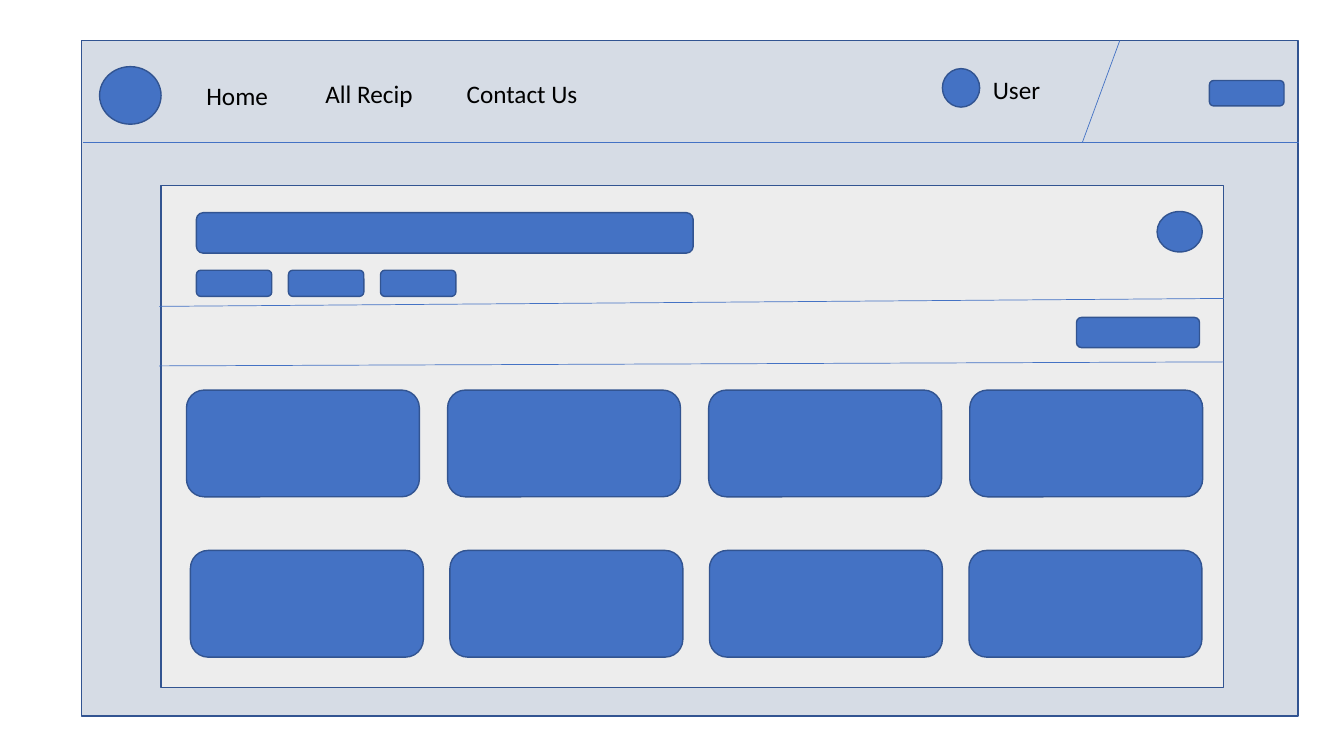
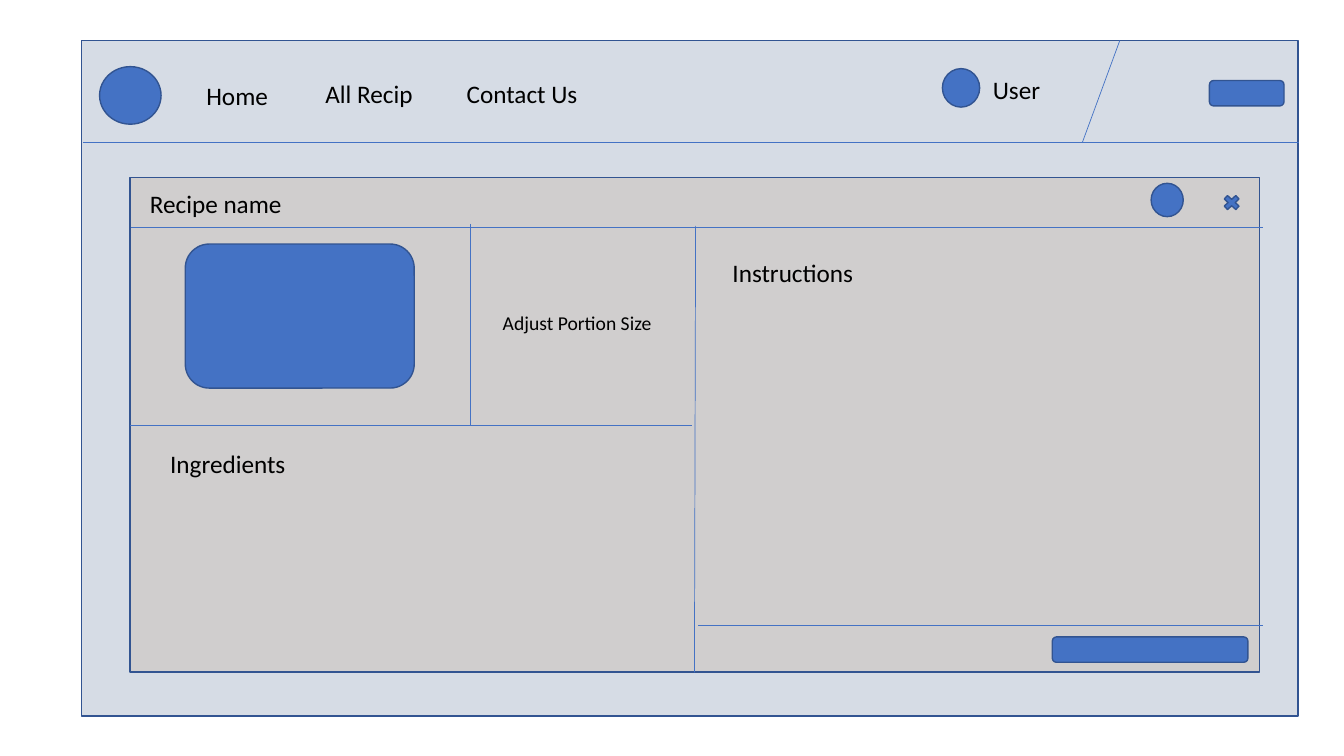
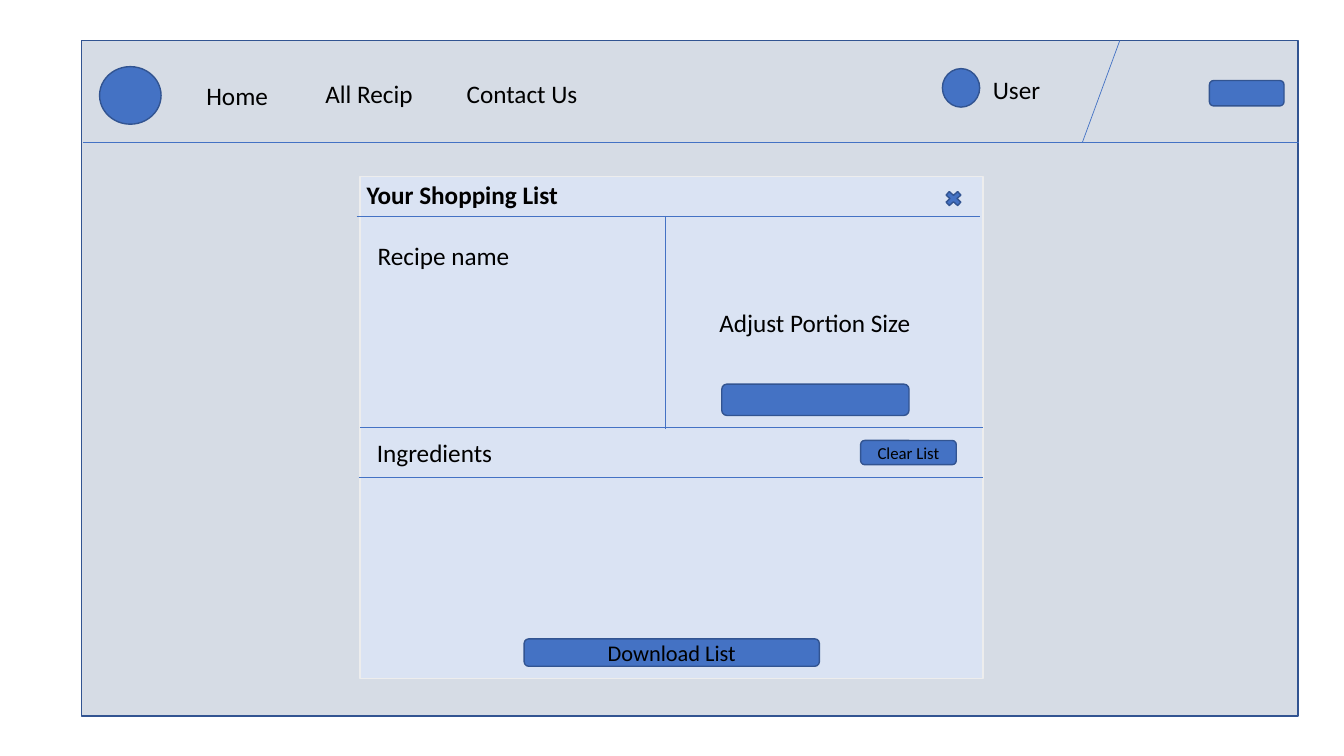
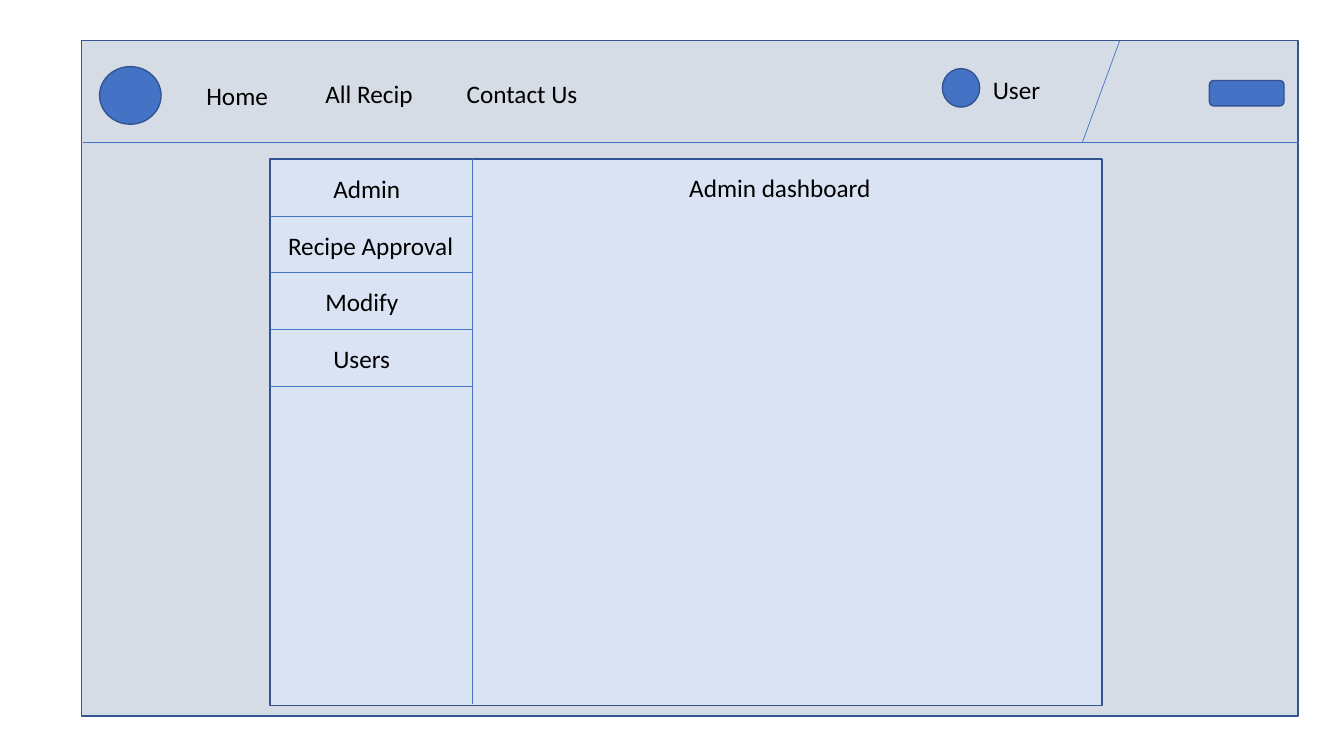
from dataclasses import dataclass

from lxml import etree
from pptx import Presentation
from pptx.dml.color import RGBColor
from pptx.enum.shapes import MSO_CONNECTOR, MSO_SHAPE
from pptx.enum.text import MSO_ANCHOR, MSO_AUTO_SIZE, PP_ALIGN
from pptx.oxml.ns import qn
from pptx.util import Cm, Pt

RECT = MSO_SHAPE.RECTANGLE
ROUND = MSO_SHAPE.ROUNDED_RECTANGLE
OVAL = MSO_SHAPE.OVAL
CROSS = MSO_SHAPE.MATH_MULTIPLY
STRAIGHT = MSO_CONNECTOR.STRAIGHT
CENTER = PP_ALIGN.CENTER
MIDDLE = MSO_ANCHOR.MIDDLE
GROW = MSO_AUTO_SIZE.SHAPE_TO_FIT_TEXT


@dataclass(frozen=True)
class Theme:
    font: str = "Calibri"
    text: str = "000000"
    accent: str = "4472C4"
    border: str = "325491"
    page: str = "D6DCE5"
    light: str = "EDEDED"
    grey: str = "D0CECE"
    pale: str = "DAE3F3"
    body: int = 18
    button: int = 16
    small: int = 14
    tiny: int = 12
    outline: float = 1
    rule: float = 0.5


T = Theme()

HEADER = {
    "panel": (2.05, 1.02, 30.66, 17.02, T.page, T.border),
    "shapes": [
        (OVAL, 2.51, 1.68, 1.55, 1.45),
        (ROUND, 30.48, 2.03, 1.88, 0.64),
        (OVAL, 23.75, 1.73, 0.94, 0.97),
    ],
    "lines": [(2.08, 3.58, 32.74, 3.58), (28.22, 1.02, 27.28, 3.58)],
    "labels": [
        ("Home", 4.95, 1.91, 2.49),
        ("All Recip", 7.95, 1.85, 2.9),
        ("Contact Us", 11.51, 1.85, 3.38),
        ("User", 24.77, 1.75, 1.75),
    ],
}

RECIPES = {
    "panel": (4.06, 4.67, 26.77, 12.65, T.light, T.border),
    "shapes": [
        (ROUND, 4.95, 5.36, 12.52, 1.02),
        (OVAL, 29.16, 5.33, 1.14, 1.02),
        (ROUND, 27.13, 8, 3.1, 0.76),
    ],
    "lines": [(4.01, 7.72, 30.84, 7.52), (4.01, 9.22, 30.84, 9.12)],
    "labels": [],
}
RECIPE_ROWS = [
    (3, 4.95, 6.81, 2.32, 1.9, 0.66),
    (4, 4.7, 9.83, 6.58, 5.87, 2.69),
    (4, 4.8, 13.87, 6.54, 5.87, 2.69),
]

RECIPE = {
    "panel": (3.28, 4.47, 28.47, 12.47, T.grey, T.border),
    "shapes": [
        (ROUND, 4.67, 6.15, 5.77, 3.63),
        (OVAL, 29.01, 4.62, 0.81, 0.84),
        (ROUND, 26.52, 16.05, 4.93, 0.64),
        (CROSS, 30.76, 4.85, 0.56, 0.51),
    ],
    "lines": [
        (3.3, 5.72, 31.83, 5.72),
        (17.53, 5.69, 17.5, 16.94),
        (3.28, 10.72, 17.45, 10.72),
        (11.86, 5.64, 11.86, 10.72),
        (17.6, 15.77, 31.83, 15.77),
    ],
    "labels": [
        ("Recipe name", 3.53, 4.62, 4.93),
        ("Instructions", 18.21, 6.35, 3.86),
        ("Ingredients", 4.04, 11.18, 3.86),
        ("Adjust Portion Size", 12.42, 7.7, 4.42, T.small),
    ],
}

SHOPPING = {
    "panel": (9.07, 4.45, 15.7, 12.65, T.pale, T.light),
    "shapes": [
        (CROSS, 23.75, 4.75, 0.56, 0.51),
        (ROUND, 18.19, 9.68, 4.72, 0.79),
        (ROUND, 21.69, 11.1, 2.41, 0.61, "Clear List", T.tiny),
        (ROUND, 13.21, 16.1, 7.44, 0.69, "Download List", T.button),
    ],
    "lines": [
        (8.99, 5.44, 24.69, 5.44),
        (9.07, 10.77, 24.77, 10.77),
        (16.76, 5.44, 16.76, 10.8),
        (9.04, 12.04, 24.77, 12.04),
    ],
    "labels": [
        ("Your Shopping List", 8.99, 4.39, 6.53, T.body, True),
        ("Recipe name", 9.27, 5.94, 4.45),
        ("Adjust Portion Size", 17.88, 7.62, 5.87),
        ("Ingredients", 9.25, 10.9, 5),
    ],
}

ADMIN = {
    "panel": (6.81, 4.01, 20.96, 13.77, T.pale, T.border),
    "shapes": [],
    "lines": [(11.91, 4.01, 11.91, 17.75)],
    "labels": [("Admin dashboard", 17.12, 4.22, 5.44)],
}
MENU = [
    ("Admin", 8.15, 2.21),
    ("Recipe Approval", 7.01, 4.72),
    ("Modify", 7.95, 2.36),
    ("Users", 8.15, 1.96),
]
MENU_LEFT, MENU_RIGHT, MENU_TOP, MENU_PITCH = 6.81, 11.91, 5.44, 1.43


def add_run(p, text, size, bold=False):
    r = p.add_run()
    r.text = text
    r.font.name = T.font
    r.font.size = Pt(size)
    r.font.bold = bold
    r.font.color.rgb = RGBColor.from_string(T.text)


def add_box(s, kind, x, y, w, h, text="", size=T.body, fill=T.accent, border=T.border):
    sp = s.shapes.add_shape(kind, Cm(x), Cm(y), Cm(w), Cm(h))
    sp.shadow.inherit = False
    sp.fill.solid()
    sp.fill.fore_color.rgb = RGBColor.from_string(fill)
    sp.line.color.rgb = RGBColor.from_string(border)
    sp.line.width = Pt(T.outline)
    if text:
        tf = sp.text_frame
        tf.margin_left = tf.margin_right = tf.margin_top = tf.margin_bottom = 0
        tf.vertical_anchor = MIDDLE
        p = tf.paragraphs[0]
        p.alignment = CENTER
        add_run(p, text, size)


def add_line(s, x1, y1, x2, y2):
    line = s.shapes.add_connector(STRAIGHT, Cm(x1), Cm(y1), Cm(x2), Cm(y2))
    line.line.color.rgb = RGBColor.from_string(T.accent)
    line.line.width = Pt(T.rule)
    etree.SubElement(line._element.spPr, qn("a:effectLst"))


def add_label(s, text, x, y, w, size=T.body, bold=False, wrap=True):
    tf = s.shapes.add_textbox(Cm(x), Cm(y), Cm(w), Cm(1.02)).text_frame
    tf.word_wrap = wrap
    tf.auto_size = GROW
    add_run(tf.paragraphs[0], text, size, bold)


def add_section(s, section):
    x, y, w, h, fill, border = section["panel"]
    add_box(s, RECT, x, y, w, h, fill=fill, border=border)
    for line in section["lines"]:
        add_line(s, *line)
    for shape in section["shapes"]:
        add_box(s, *shape)
    for label in section["labels"]:
        add_label(s, *label)


def add_page(prs, section):
    s = prs.slides.add_slide(prs.slide_layouts[6])
    add_section(s, HEADER)
    add_section(s, section)
    return s


def main():
    prs = Presentation()
    prs.slide_width, prs.slide_height = Cm(33.87), Cm(19.05)

    s = add_page(prs, RECIPES)
    for count, left, top, pitch, w, h in RECIPE_ROWS:
        for i in range(count):
            add_box(s, ROUND, left + i * pitch, top, w, h)

    add_page(prs, RECIPE)
    add_page(prs, SHOPPING)

    s = add_page(prs, ADMIN)
    for i, (text, left, w) in enumerate(MENU):
        y = MENU_TOP + i * MENU_PITCH
        add_line(s, MENU_LEFT, y, MENU_RIGHT, y)
        add_label(s, text, left, y - 1.2, w, wrap=False)

    prs.save("out.pptx")


if __name__ == "__main__":
    main()
